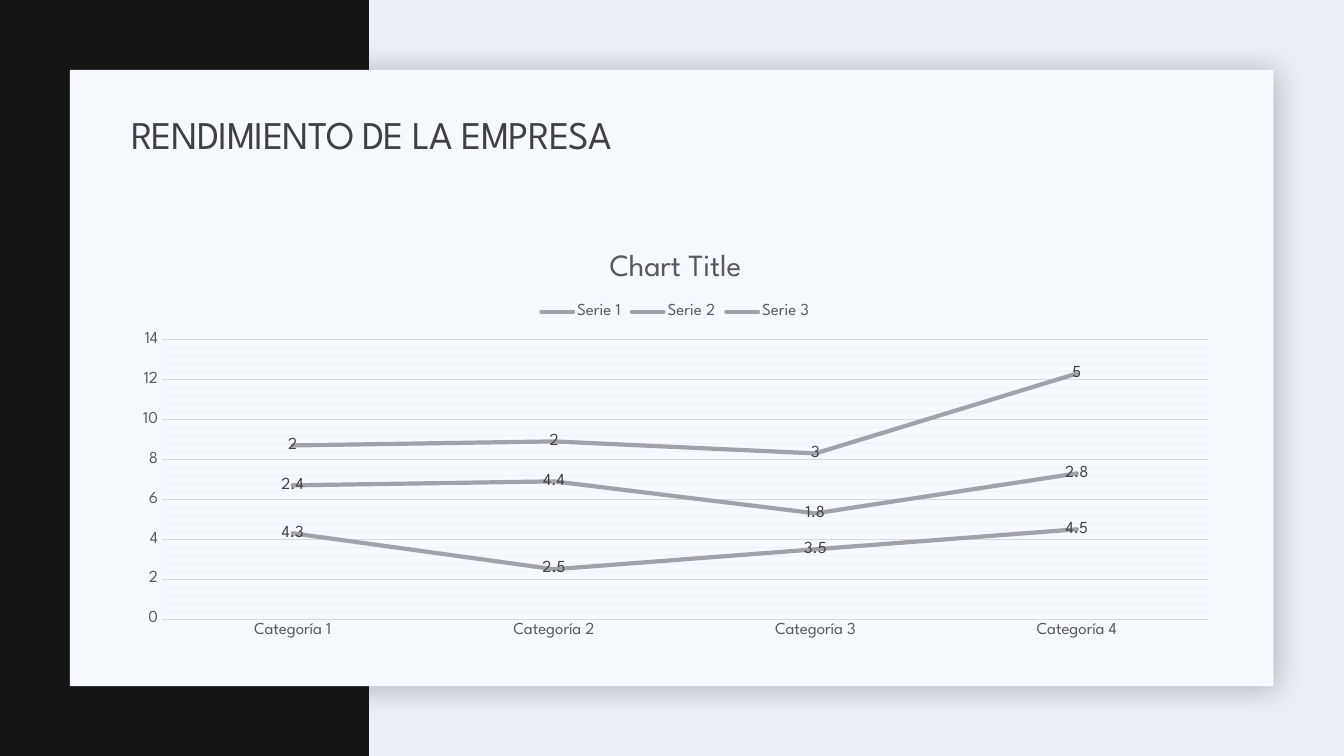
from copy import deepcopy

from lxml import etree
from pptx import Presentation
from pptx.chart.data import CategoryChartData
from pptx.dml.color import RGBColor
from pptx.enum.chart import XL_CHART_TYPE as ChartType
from pptx.enum.chart import XL_LABEL_POSITION as LabelPosition
from pptx.enum.chart import XL_LEGEND_POSITION as LegendPosition
from pptx.enum.chart import XL_TICK_MARK as TickMark
from pptx.enum.shapes import MSO_SHAPE as Preset
from pptx.enum.text import MSO_ANCHOR as Anchor
from pptx.enum.text import MSO_AUTO_SIZE as AutoSize
from pptx.enum.text import PP_ALIGN as Align
from pptx.oxml.ns import qn
from pptx.util import Cm, Pt

TITLE = "RENDIMIENTO DE LA EMPRESA"
CHART_TITLE = "Chart Title"
CATEGORIES = ["Categoría 1", "Categoría 2", "Categoría 3", "Categoría 4"]
SERIES = {
    "Serie 1": (4.3, 2.5, 3.5, 4.5),
    "Serie 2": (2.4, 4.4, 1.8, 2.8),
    "Serie 3": (2, 2, 3, 5),
}

FONT = "League Spartan"
BLACK = RGBColor(0x00, 0x00, 0x00)
BACKDROP = RGBColor(0xEC, 0xEE, 0xF7)
PANEL = RGBColor(0xF6, 0xF9, 0xFF)
BAND = RGBColor(0x14, 0x15, 0x14)
SHADOW = RGBColor(0x1F, 0x21, 0x25)
DARK = RGBColor(0x40, 0x40, 0x40)
MUTED = RGBColor(0x59, 0x59, 0x59)
GRID = RGBColor(0xD9, 0xD9, 0xD9)
MINOR_GRID = RGBColor(0xF2, 0xF2, 0xF2)
SERIES_GREY = RGBColor(0xA1, 0xA2, 0xA9)

WIDTH, HEIGHT = Cm(33.87), Cm(19.05)
MARGIN = Cm(1.76)
PANEL_BOX = (MARGIN, MARGIN, Cm(30.33), HEIGHT - 2 * MARGIN)
BAND_BOX = (0, 0, Cm(9.3), HEIGHT)
CONTENT_LEFT, CONTENT_WIDTH = Cm(3.05), Cm(27.94)
TITLE_BOX = (CONTENT_LEFT, Cm(2.62), CONTENT_WIDTH, Cm(1.63))
CHART_BOX = (CONTENT_LEFT, Cm(5.87), CONTENT_WIDTH, Cm(10.44))


def add_block(page, box, color):
    block = page.shapes.add_shape(Preset.RECTANGLE, *box)
    block.shadow.inherit = False
    block.fill.solid()
    block.fill.fore_color.rgb = color
    block.line.fill.background()
    return block


def add_panel(page):
    panel = add_block(page, PANEL_BOX, PANEL)
    effects = next(panel.element.iter(qn("a:effectLst")))
    shadow = etree.SubElement(
        effects, qn("a:outerShdw"), blurRad=str(Pt(20)), dist=str(Pt(2)),
        dir=str(45 * 60000), algn="tl", rotWithShape="0")
    color = etree.SubElement(shadow, qn("a:srgbClr"), val=str(SHADOW))
    etree.SubElement(color, qn("a:alpha"), val="15000")


def set_font(font, size, color):
    font.name = FONT
    font.size = Pt(size)
    font.bold = False
    font.color.rgb = color


def set_line(line, color, width=0.75):
    line.color.rgb = color
    line.width = Pt(width)


def add_title(page):
    title = page.shapes.title
    title.left, title.top, title.width, title.height = TITLE_BOX
    frame = title.text_frame
    frame.word_wrap = True
    frame.auto_size = AutoSize.NONE
    frame.vertical_anchor = Anchor.MIDDLE
    para = frame.paragraphs[0]
    para.alignment = Align.LEFT
    para.line_spacing = 0.9
    span = para.add_run()
    span.text = TITLE
    set_font(span.font, 28, DARK)
    for props in title.element.iter(qn("a:rPr")):
        props.set("spc", "-50")
    title.element.getparent().append(title.element)


def style_gridlines(chart):
    scale = chart.value_axis
    scale.has_major_gridlines = scale.has_minor_gridlines = True
    set_line(scale.major_gridlines.format.line, GRID)
    major = next(chart.element.iter(qn("c:majorGridlines")))
    minor = next(chart.element.iter(qn("c:minorGridlines")))
    minor.append(deepcopy(major.find(qn("c:spPr"))))
    next(minor.iter(qn("a:srgbClr"))).set("val", str(MINOR_GRID))


def style_axes(chart):
    for axis in (chart.category_axis, chart.value_axis):
        axis.major_tick_mark = axis.minor_tick_mark = TickMark.NONE
        set_font(axis.tick_labels.font, 12, MUTED)
    set_line(chart.category_axis.format.line, GRID)
    scale = chart.value_axis
    scale.minimum_scale, scale.maximum_scale = 0, 14
    scale.major_unit, scale.minor_unit = 2, 0.4
    scale.format.line.fill.background()
    style_gridlines(chart)


def style_series(chart):
    plot = chart.plots[0]
    plot.vary_by_categories = False
    for series in plot.series:
        series.smooth = False
        set_line(series.format.line, SERIES_GREY, 3)
        labels = series.data_labels
        labels.show_value = True
        labels.position = LabelPosition.CENTER
        set_font(labels.font, 12, DARK)
    for series in chart.element.iter(qn("c:ser")):
        next(series.iter(qn("a:ln"))).set("cap", "rnd")


def add_line_chart(page):
    data = CategoryChartData()
    data.categories = CATEGORIES
    for name, values in SERIES.items():
        data.add_series(name, values)
    chart = page.shapes.add_chart(ChartType.LINE_STACKED, *CHART_BOX, data).chart
    set_font(chart.font, 10, BLACK)

    chart.has_title = True
    span = chart.chart_title.text_frame.paragraphs[0].add_run()
    span.text = CHART_TITLE
    set_font(span.font, 22, MUTED)

    chart.has_legend = True
    chart.legend.position = LegendPosition.TOP
    chart.legend.include_in_layout = False
    set_font(chart.legend.font, 12, MUTED)

    style_axes(chart)
    style_series(chart)


def main():
    deck = Presentation()
    deck.slide_width, deck.slide_height = WIDTH, HEIGHT
    page = deck.slides.add_slide(deck.slide_layouts[5])
    page.background.fill.solid()
    page.background.fill.fore_color.rgb = BACKDROP
    add_panel(page)
    add_block(page, BAND_BOX, BAND)
    add_panel(page)
    add_line_chart(page)
    add_title(page)
    deck.save("out.pptx")


if __name__ == "__main__":
    main()
